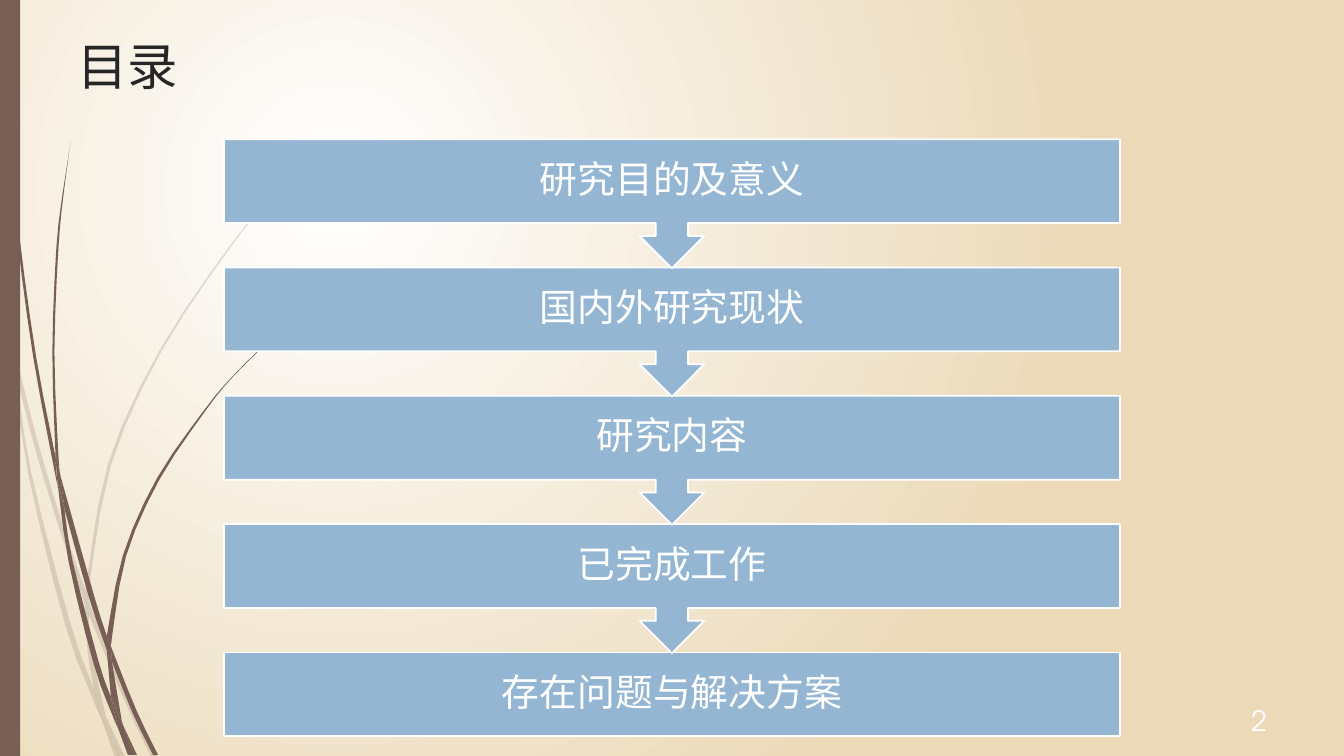
import pptx
import pptx.dml.color
import pptx.enum.shapes
import pptx.enum.text
import pptx.oxml
import pptx.oxml.ns
import pptx.util

Pt = pptx.util.Pt
RGBColor = pptx.dml.color.RGBColor
Shape = pptx.enum.shapes.MSO_SHAPE
Align = pptx.enum.text.PP_ALIGN
Anchor = pptx.enum.text.MSO_ANCHOR

WHITE = RGBColor(0xFF, 0xFF, 0xFF)
NUMBER_WHITE = RGBColor(0xFE, 0xFF, 0xFF)
SAND = RGBColor(0xEB, 0xD9, 0xB7)
BROWN = RGBColor(0x77, 0x5F, 0x55)
BLUE = RGBColor(0x94, 0xB6, 0xD2)
INK = RGBColor(0x26, 0x26, 0x26)
FONT = "TeX Gyre Adventor"

TOPICS = ["研究目的及意义", "国内外研究现状", "研究内容", "已完成工作", "存在问题与解决方案"]
TOPIC_LEFT, TOPIC_TOP, TOPIC_WIDTH, TOPIC_HEIGHT = 160, 99.4, 640, 60
TOPIC_PITCH = 91.65
CALLOUT_HEIGHT = 92.2


def corners(*points):
    """Edges of a piece that has only straight sides."""
    return [[point] for point in points]


# Each piece of grass is a list of curved edges, given by points on them
PALE_GRASS = [
    [[(8, 252), (6.5, 232), (0, 203)], [(0, 215.3), (7.2, 247.7), (8, 252)]],
    [[(12.2, 270.7), (25.9, 323.5), (41.8, 375.8), (60.5, 431.3)],
     [(61.2, 422), (44.6, 374.4), (26, 312), (10.1, 248.4)]],
    [[(63.4, 429.1)], [(63.4, 439.2), (88.6, 499.7), (108, 540.7)],
     [(111.6, 540.7), (91.4, 498.2), (66.2, 437)]],
    corners((85.7, 540.7), (89.3, 540.7), (75.6, 511.9)),
    [[(67, 491.8), (50.4, 445.7), (22.3, 337.7), (12.2, 270.7)],
     [(7.9, 252), (20.2, 338.4), (46.8, 447.1), (66.2, 499), (72.7, 514.1)]],
    [[(60.5, 431.3), (62.6, 465.1), (67, 491.8)], [(69.1, 498.2)],
     [(75.6, 511.9), (65.5, 465.1), (63.4, 439.2)]],
    [[(63.4, 420.5), (79.2, 332.6), (115.2, 251.3), (164.9, 176.4),
      (193, 142.6), (224.6, 110.9)],
     [(224.6, 110.2), (193, 141.8), (164.2, 175.7), (113.8, 250.6),
      (77, 331.9), (61.2, 420.5)], [(61.2, 422)], [(63.4, 429.1)]],
    corners((72.7, 514.1), (82.1, 540.7), (85.7, 540.7)),
    corners((63.4, 439.2), (63.4, 429.1), (61.2, 421.9), (60.5, 431.3)),
    corners((67, 491.8), (71.3, 509), (72.7, 514.1), (85.7, 540.7),
            (75.6, 511.9), (69.1, 498.2)),
]
DARK_GRASS = [
    [[(2.2, 0), (2.9, 34.6), (5, 79.2), (12.2, 167.8), (23.8, 255.6),
      (40.3, 343.4), (41, 346.3)],
     [(39.6, 329), (39.6, 326.2), (25.9, 255.6), (13.7, 167), (5.8, 78.5),
      (3.6, 34.6), (2.9, 0)]],
    [[(46.1, 363.6), (63.4, 426.2), (76.3, 464.4)],
     [(76.3, 454.3), (67, 424.8), (43.2, 339.8)]],
    [[(79.2, 461.5)], [(79.9, 472.3), (95, 509.8), (109.4, 539.3)],
     [(113, 539.3), (97.9, 508.3), (81.4, 467.3)]],
    [[(79.2, 497.5), (70.6, 473), (51.8, 400.3), (46.1, 363.6)],
     [(41, 343.4), (49, 401), (67, 474.5), (79.9, 509.8), (84.2, 519.8)],
     [(83.5, 516.2)]],
    [[(43.2, 339.8), (41.8, 326.2), (38.9, 251.3), (41.8, 176.4), (45.4, 139),
      (50.4, 101.5)],
     [(44.6, 139), (40.3, 176.4), (37.4, 251.3), (39.6, 323.3)]],
    corners((95.8, 539.3), (97.9, 539.3), (87.8, 517.7)),
    corners((41, 343.4), (46.1, 363.6), (43.2, 339.8), (39.6, 323.3),
            (39.6, 326.2)),
    [[(79.9, 455.8), (90, 397.4), (113.8, 342.7), (147.6, 292.3),
      (166.3, 269.3), (187.9, 247.7)],
     [(187.2, 247.7), (166.3, 268.6), (146.9, 291.6), (112.3, 341.3),
      (87.8, 396.7), (76.3, 454.3)], [(79.2, 461.5)]],
    corners((84.2, 519.8), (91.4, 539.3), (94.3, 539.3)),
    [[(76.3, 464.4), (79.2, 497.5)], [(83.5, 508.3)], [(87.8, 517.7)],
     [(87.1, 515.5), (79.9, 472.3)]],
    corners((76.3, 464.4), (79.9, 472.3), (79.2, 461.5), (76.3, 454.3)),
    corners((79.2, 497.5), (83.5, 516.2), (84.2, 519.8), (93.6, 539.3),
            (95.8, 539.3), (87.8, 517.7), (83.5, 508.3)),
]


def paint_background(slide):
    """Radial gradient, white at the upper left and sand at the edges."""
    fill = slide.background.fill
    fill.gradient()
    for stop, color, position in zip(fill.gradient_stops, (WHITE, SAND), (0, 1)):
        stop.color.rgb = color
        stop.position = position
    linear = next(slide._element.iter(pptx.oxml.ns.qn("a:lin")))
    radial = pptx.oxml.parse_xml(
        f'<a:path {pptx.oxml.ns.nsdecls("a")} path="circle">'
        '<a:fillToRect l="50000" t="50000" r="100000" b="100000"/></a:path>')
    linear.getparent().replace(linear, radial)


def paint(shape, color, line_color=None, opacity=100):
    shape.shadow.inherit = False
    shape.fill.solid()
    shape.fill.fore_color.rgb = color
    if opacity < 100:
        rgb = next(shape._element.spPr.iter(pptx.oxml.ns.qn("a:srgbClr")))
        rgb.append(pptx.oxml.parse_xml(
            f'<a:alpha {pptx.oxml.ns.nsdecls("a")} val="{opacity * 1000}"/>'))
    if line_color is None:
        shape.line.fill.background()
    else:
        shape.line.color.rgb = line_color
        shape.line.width = Pt(1.25)


def smooth(edge, steps=3):
    """Points of a Catmull-Rom curve through the points of an edge."""
    padded = [edge[0], *edge, edge[-1]]
    curve = []
    for before, start, end, after in zip(padded, padded[1:], padded[2:], padded[3:]):
        for step in range(steps):
            t = step / steps
            curve.append(tuple(
                b + 0.5 * t * (c - a + t * (2 * a - 5 * b + 4 * c - d
                                            + t * (3 * (b - c) + d - a)))
                for a, b, c, d in zip(before, start, end, after)))
    return curve + [edge[-1]]


def add_grass(slide, edges, opacity):
    points = [(Pt(x), Pt(y)) for edge in edges for x, y in smooth(edge)]
    outline = slide.shapes.build_freeform(*points[0])
    outline.add_line_segments(points[1:], close=True)
    paint(outline.convert_to_shape(), BROWN, opacity=opacity)


def write(frame, text, size, color, align=Align.LEFT, anchor=Anchor.TOP):
    frame.word_wrap = True
    frame.vertical_anchor = anchor
    paragraph = frame.paragraphs[0]
    paragraph.alignment = align
    run = paragraph.add_run()
    run.text = text
    run.font.size = Pt(size)
    run.font.name = FONT
    run.font.color.rgb = color
    return paragraph


def add_label(slide, left, top, width, height, *text_style):
    label = slide.shapes.add_textbox(Pt(left), Pt(top), Pt(width), Pt(height))
    write(label.text_frame, *text_style)


def add_topic(slide, index, topic):
    """A bar that points down to the next topic, unless it is the last."""
    is_last = index == len(TOPICS) - 1
    kind = Shape.RECTANGLE if is_last else Shape.DOWN_ARROW_CALLOUT
    height = TOPIC_HEIGHT if is_last else CALLOUT_HEIGHT
    bar = slide.shapes.add_shape(
        kind, Pt(TOPIC_LEFT), Pt(TOPIC_TOP + index * TOPIC_PITCH),
        Pt(TOPIC_WIDTH), Pt(height))
    if not is_last:
        bar.adjustments[3] = 0.65
    paint(bar, BLUE, WHITE)
    frame = bar.text_frame
    frame.margin_left = frame.margin_right = Pt(15)
    frame.margin_top = frame.margin_bottom = Pt(15)
    paragraph = write(frame, topic, 27, WHITE, Align.CENTER, Anchor.MIDDLE)
    paragraph.line_spacing = 0.9


def main():
    deck = pptx.Presentation()
    deck.slide_width, deck.slide_height = Pt(960), Pt(540)
    slide = deck.slides.add_slide(deck.slide_layouts[6])
    paint_background(slide)

    for grass, opacity in ((PALE_GRASS, 20), (DARK_GRASS, 100)):
        for edges in grass:
            add_grass(slide, edges, opacity)
    side_band = slide.shapes.add_shape(Shape.RECTANGLE, 0, 0, Pt(14.4), Pt(540))
    paint(side_band, BROWN)

    add_label(slide, 48, 21.6, 864, 90, "目录", 36, INK)
    add_label(slide, 688, 500.4, 224, 28.8, "2", 20, NUMBER_WHITE,
              Align.RIGHT, Anchor.MIDDLE)
    for index, topic in reversed(list(enumerate(TOPICS))):
        add_topic(slide, index, topic)

    deck.save("out.pptx")


if __name__ == "__main__":
    main()
